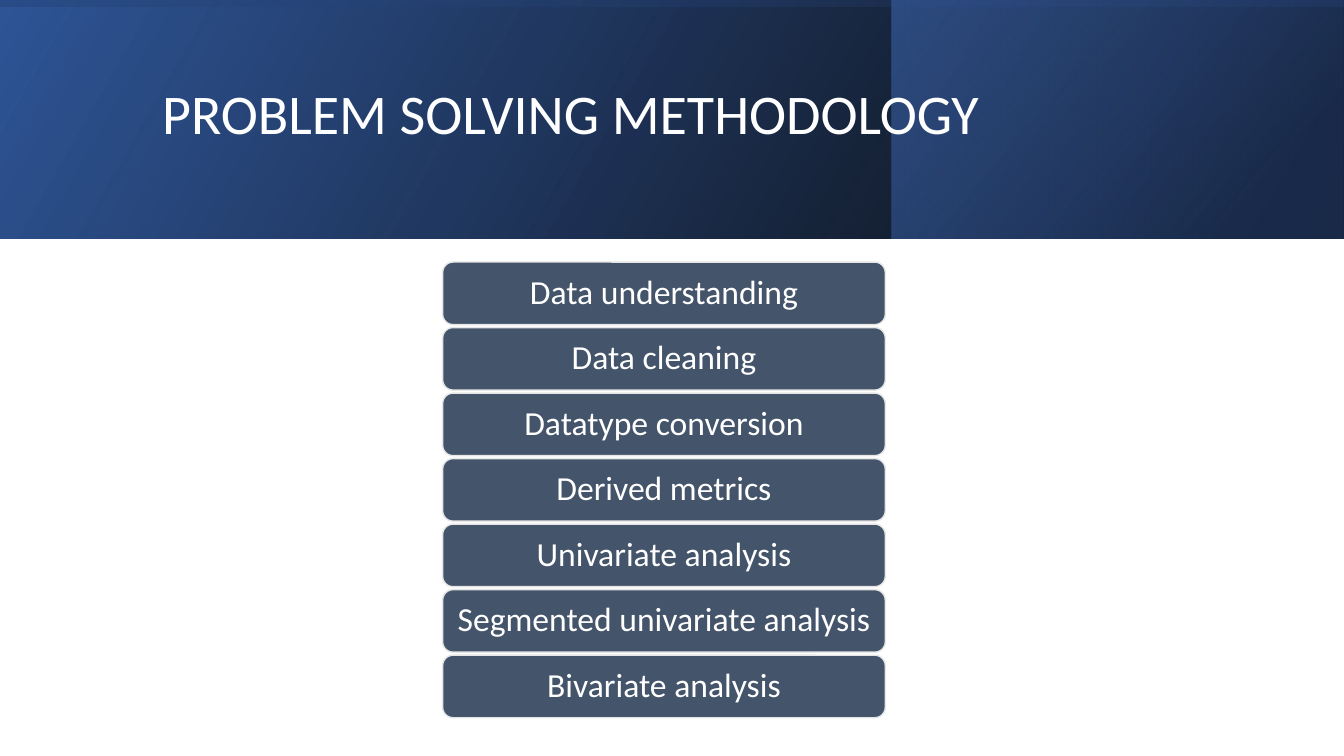
from pptx import Presentation
from pptx.dml.color import RGBColor
from pptx.enum.shapes import MSO_SHAPE
from pptx.enum.text import MSO_ANCHOR, PP_ALIGN
from pptx.oxml.ns import qn
from pptx.util import Inches, Pt
from lxml import etree

RECT = MSO_SHAPE.RECTANGLE
ROUND = MSO_SHAPE.ROUNDED_RECTANGLE
MIDDLE = MSO_ANCHOR.MIDDLE
LEFT, CENTER = PP_ALIGN.LEFT, PP_ALIGN.CENTER

FONT = "Calibri"
COLORS = {
    "white": "FFFFFF",
    "black": "000000",
    "blue": "2F5597",
    "navy": "203864",
    "sky": "4472C4",
    "slate": "44546A",
    "edge": "E7E6E6",
}
STEPS = [
    "Data understanding",
    "Data cleaning",
    "Datatype conversion",
    "Derived metrics",
    "Univariate analysis",
    "Segmented univariate analysis",
    "Bivariate analysis",
]
STEP_LEFT, STEP_TOP, STEP_PITCH = 4.39, 2.6, 0.65
STEP_WIDTH, STEP_HEIGHT = 4.39, 0.62


def color(name):
    return RGBColor.from_string(COLORS[name])


def add_box(slide, kind, box):
    shape = slide.shapes.add_shape(kind, *map(Inches, box))
    shape.shadow.inherit = False
    return shape


def add_band(slide, box, angle, stops, turn=0):
    """Add a mirrored gradient band; stops hold colour, position and opacity in percent."""
    band = add_box(slide, RECT, box)
    band.rotation = turn
    band.line.fill.background()
    band.fill.gradient()
    band.fill.gradient_angle = angle
    for stop, (name, place, opacity) in zip(band.fill.gradient_stops, stops):
        stop.color.rgb = color(name)
        stop.position = place / 100
    props = band._element.spPr
    props.xfrm.set("flipH", "1")
    for tint, (_, _, opacity) in zip(props.iter(qn("a:srgbClr")), stops):
        etree.SubElement(tint, qn("a:alpha")).set("val", str(opacity * 1000))


def set_text(shape, text, size, align):
    frame = shape.text_frame
    frame.word_wrap = True
    frame.vertical_anchor = MIDDLE
    para = frame.paragraphs[0]
    para.text = text
    para.alignment = align
    para.line_spacing = 0.9
    font = para.runs[0].font
    font.name = FONT
    font.size = Pt(size)
    font.color.rgb = color("white")


def add_title(slide, text):
    title = slide.shapes.add_textbox(*map(Inches, (1.51, 0.38, 10.27, 1.55)))
    set_text(title, text, 40, LEFT)


def add_step(slide, index, text):
    top = STEP_TOP + index * STEP_PITCH
    step = add_box(slide, ROUND, (STEP_LEFT, top, STEP_WIDTH, STEP_HEIGHT))
    step.fill.solid()
    step.fill.fore_color.rgb = color("slate")
    step.line.color.rgb = color("edge")
    step.line.width = Pt(1)
    set_text(step, text, 24, CENTER)


def main():
    deck = Presentation()
    deck.slide_width, deck.slide_height = Inches(13.33), Inches(7.5)
    slide = deck.slides.add_slide(deck.slide_layouts[6])

    add_band(slide, (0, 0, 13.33, 2.37), 30,
             [("black", 0, 96), ("blue", 100, 100)])
    add_band(slide, (8.84, 0, 4.48, 2.37), 40,
             [("navy", 19, 68), ("sky", 100, 48)])
    add_band(slide, (5.48, -5.48, 2.37, 13.33), 10,
             [("blue", 23, 16), ("black", 99, 45)], turn=270)

    add_title(slide, "PROBLEM SOLVING METHODOLOGY")
    for index, text in enumerate(STEPS):
        add_step(slide, index, text)
    deck.save("out.pptx")


if __name__ == "__main__":
    main()
